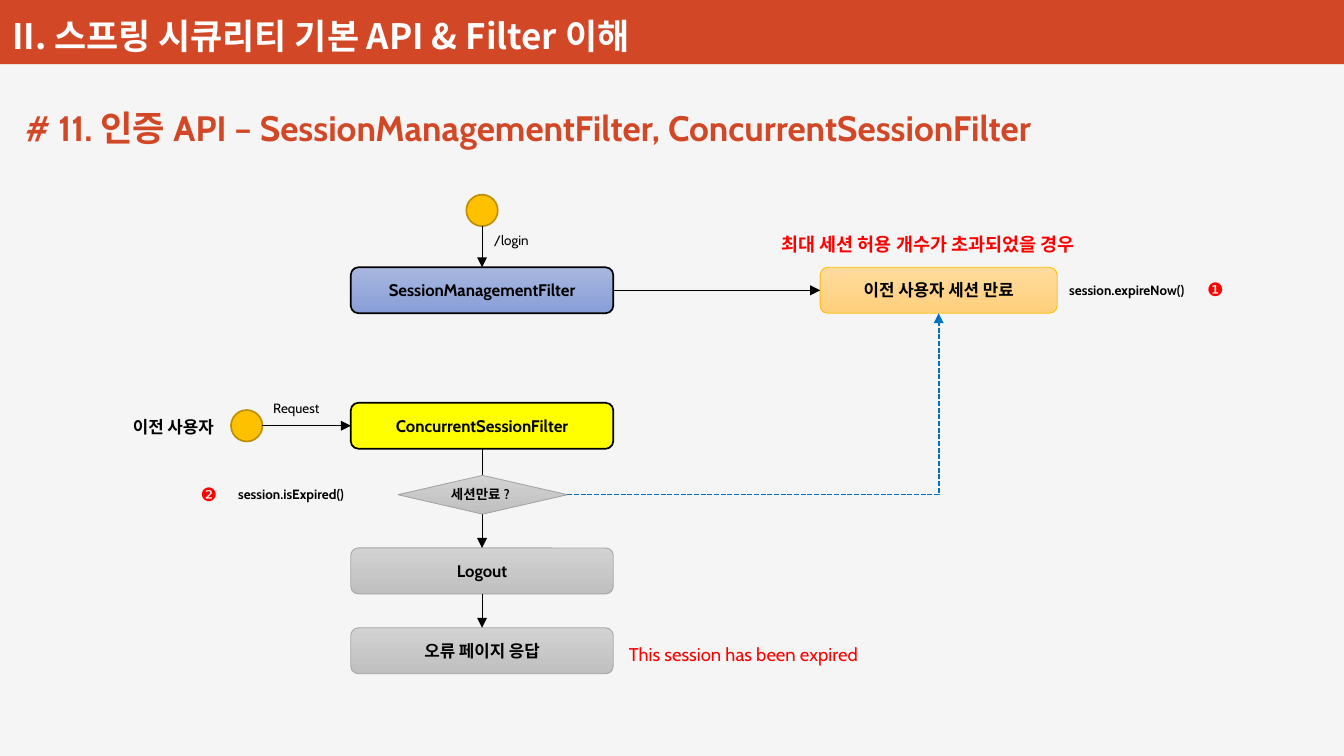
from dataclasses import dataclass

import pptx
import pptx.dml.color
import pptx.enum.dml
import pptx.enum.shapes
import pptx.enum.text
import pptx.oxml
import pptx.oxml.ns
import pptx.util
from pptx.util import Inches

SHAPES = pptx.enum.shapes.MSO_SHAPE
CONNECTORS = pptx.enum.shapes.MSO_CONNECTOR
ALIGN = pptx.enum.text.PP_ALIGN
ANCHOR = pptx.enum.text.MSO_ANCHOR
TOP, LEFT, BOTTOM, RIGHT = range(4)


@dataclass(frozen=True)
class Theme:
    latin: str = "Cabin"
    korean: str = "Noto Sans CJK KR"
    background: str = "F5F5F5"
    accent: str = "D24726"
    white: str = "FFFFFF"
    ink: str = "000000"
    alert: str = "FF0000"
    link: str = "0070C0"
    yellow: tuple = ("FFFF00",)
    blue: tuple = ("A8B7DF", "889ED7")
    orange: tuple = ("FFDB9E", "FFD07C")
    gray: tuple = ("D2D2D2", "C0C0C0")
    amber: tuple = ("FFC000",)
    orange_edge: str = "FFC000"
    gray_edge: str = "A5A5A5"
    amber_edge: str = "BD8E00"
    chapter_size: float = 20.8
    heading_size: float = 21
    note_size: float = 11
    step_size: float = 10
    label_size: float = 8


@dataclass(frozen=True)
class Box:
    x: float
    y: float
    w: float
    h: float

    def inside(self, dx, dy, w, h):
        return Box(self.x + dx, self.y + dy, w, h)

    def lengths(self):
        return [Inches(side) for side in (self.x, self.y, self.w, self.h)]


THEME = Theme()
STEP_W, STEP_H, DOT = 2.17, 0.38, 0.26


def rgb(color):
    return pptx.dml.color.RGBColor.from_string(color)


def write(frame, words, size, color, bold=False, latin=THEME.latin):
    run = frame.paragraphs[0].add_run()
    run.text = words
    run.font.size = pptx.util.Pt(size)
    run.font.bold = bold
    run.font.name = latin
    run.font.color.rgb = rgb(color)
    east_asian = pptx.oxml.parse_xml(
        f'<a:ea {pptx.oxml.ns.nsdecls("a")} typeface="{THEME.korean}"/>')
    run.font._element.find(pptx.oxml.ns.qn("a:latin")).addnext(east_asian)


def add_label(slide, box, words, size=THEME.label_size, color=THEME.ink, bold=False):
    frame = slide.shapes.add_textbox(*box.lengths()).text_frame
    frame.word_wrap = False
    frame.auto_size = pptx.enum.text.MSO_AUTO_SIZE.SHAPE_TO_FIT_TEXT
    write(frame, words, size, color, bold)


def add_node(slide, kind, box, colors, edge=None, edge_width=0.5):
    """One colour gives a plain fill, two give a top-to-bottom gradient."""
    node = slide.shapes.add_shape(kind, *box.lengths())
    node.shadow.inherit = False
    if len(colors) == 1:
        node.fill.solid()
        node.fill.fore_color.rgb = rgb(colors[0])
    else:
        node.fill.gradient()
        node.fill.gradient_angle = 270
        for stop, color in zip(node.fill.gradient_stops, colors):
            stop.color.rgb = rgb(color)
    if edge:
        node.line.color.rgb = rgb(edge)
        node.line.width = pptx.util.Pt(edge_width)
    else:
        node.line.fill.background()
    return node


def add_step(slide, box, words, colors, edge, edge_width=0.5):
    step = add_node(slide, SHAPES.ROUNDED_RECTANGLE, box, colors, edge, edge_width)
    step.text_frame.vertical_anchor = ANCHOR.MIDDLE
    step.text_frame.paragraphs[0].alignment = ALIGN.CENTER
    write(step.text_frame, words, THEME.step_size, THEME.ink, True)
    return step


def add_dot(slide, box):
    add_node(slide, SHAPES.OVAL, box, THEME.amber, THEME.amber_edge, 1)


def add_arrow(slide, target, side, source=None, source_side=BOTTOM, start=(0, 0),
              kind=CONNECTORS.STRAIGHT, color=THEME.ink, width=0.5):
    """Runs to a side of target, from a side of source or else from a start point."""
    x, y = (Inches(v) for v in start)
    arrow = slide.shapes.add_connector(kind, x, y, x, y)
    if source is not None:
        arrow.begin_connect(source, source_side)
    arrow.end_connect(target, side)
    arrow.line.color.rgb = rgb(color)
    arrow.line.width = pptx.util.Pt(width)
    line = arrow.line._get_or_add_ln()
    for piece in (line, arrow._element.spPr):
        tag = "tailEnd" if piece is line else "effectLst"
        piece.append(pptx.oxml.parse_xml(f'<a:{tag} {pptx.oxml.ns.nsdecls("a")}/>'))
    line.find(pptx.oxml.ns.qn("a:tailEnd")).set("type", "triangle")
    return arrow


def draw_chapter_bar(slide, box):
    add_node(slide, SHAPES.RECTANGLE, box, (THEME.accent,))
    frame = slide.shapes.add_textbox(*box.inside(0.01, -0.1, 6.17, 0.61).lengths()).text_frame
    frame.word_wrap = True
    frame.vertical_anchor = ANCHOR.BOTTOM
    frame.margin_left = frame.margin_right = Inches(0.09)
    frame.margin_top = frame.margin_bottom = Inches(0.04)
    write(frame, "II. 스프링 시큐리티 기본 API & Filter 이해",
          THEME.chapter_size, THEME.white, True, THEME.korean)


def draw_heading(slide, box):
    heading = slide.shapes.title
    heading.left, heading.top, heading.width, heading.height = box.lengths()
    frame = heading.text_frame
    frame.word_wrap = False
    frame.auto_size = pptx.enum.text.MSO_AUTO_SIZE.SHAPE_TO_FIT_TEXT
    frame.vertical_anchor = ANCHOR.TOP
    frame.paragraphs[0].alignment = ALIGN.LEFT
    write(frame, "# 11. 인증 API – SessionManagementFilter, ConcurrentSessionFilter",
          THEME.heading_size, THEME.accent, True)


def draw_login_flow(slide, box):
    """Returns the step that expires the earlier session."""
    middle, row = STEP_W / 2, box.h - STEP_H
    add_dot(slide, box.inside(middle - DOT / 2, 0, DOT, DOT))
    management = add_step(slide, box.inside(0, row, STEP_W, STEP_H),
                          "SessionManagementFilter", THEME.blue, THEME.ink, 1)
    expiry = add_step(slide, box.inside(3.88, row, 1.96, STEP_H),
                      "이전 사용자 세션 만료", THEME.orange, THEME.orange_edge)
    add_arrow(slide, management, TOP, start=(box.x + middle, box.y + DOT))
    add_arrow(slide, expiry, LEFT, management, RIGHT)
    add_label(slide, box.inside(middle, 0.26, 0.5, 0.24), "/login")
    add_label(slide, box.inside(3.46, 0.27, 2.95, 0.29),
              "최대 세션 허용 개수가 초과되었을 경우", THEME.note_size, THEME.alert, True)
    add_label(slide, box.inside(5.84, 0.67, 1.27, 0.24), "session.expireNow()", bold=True)
    add_label(slide, box.inside(6.98, 0.64, 0.41, 0.29), "❶", THEME.note_size, THEME.alert)
    return expiry


def draw_request_flow(slide, box):
    """Returns the decision on whether the session has expired."""
    column = 1.9
    styles = [("ConcurrentSessionFilter", 0.07, THEME.yellow, THEME.ink, 1),
              ("Logout", 1.27, THEME.gray, THEME.gray_edge, 0.5),
              ("오류 페이지 응답", 1.93, THEME.gray, THEME.gray_edge, 0.5)]
    concurrent, logout, error = [
        add_step(slide, box.inside(column, dy, STEP_W, STEP_H), words, colors, edge, width)
        for words, dy, colors, edge, width in styles]
    add_arrow(slide, logout, TOP, concurrent)
    add_arrow(slide, error, TOP, logout)
    decision = add_node(slide, SHAPES.FLOWCHART_DECISION, box.inside(2.29, 0.67, 1.4, 0.32),
                        THEME.gray, THEME.gray_edge)
    add_label(slide, box.inside(2.63, 0.71, 0.73, 0.24), "세션만료 ?", bold=True)

    add_dot(slide, box.inside(0.91, 0.13, DOT, DOT))
    add_arrow(slide, concurrent, LEFT, start=(box.x + 0.91 + DOT, box.y + 0.26))
    add_label(slide, box.inside(0, 0.14, 0.98, 0.27), "이전 사용자", THEME.step_size, bold=True)
    add_label(slide, box.inside(1.16, 0, 0.6, 0.24), "Request")
    add_label(slide, box.inside(0.56, 0.68, 0.41, 0.29), "❷", THEME.note_size, THEME.alert)
    add_label(slide, box.inside(0.87, 0.71, 1.17, 0.24), "session.isExpired()", bold=True)
    add_label(slide, box.inside(4.1, 2.01, 2.22, 0.29), "This session has been expired",
              THEME.note_size, THEME.alert)
    return decision


def link_decision_to_expiry(slide, decision, expiry):
    link = add_arrow(slide, expiry, BOTTOM, decision, RIGHT,
                     kind=CONNECTORS.ELBOW, color=THEME.link, width=1)
    link.line.dash_style = pptx.enum.dml.MSO_LINE.SQUARE_DOT
    link._element.spPr.find(pptx.oxml.ns.qn("a:prstGeom")).set("prst", "bentConnector2")


def main():
    deck = pptx.Presentation()
    deck.slide_width, deck.slide_height = Inches(11.11), Inches(6.25)
    slide = deck.slides.add_slide(deck.slide_layouts[5])
    slide.background.fill.solid()
    slide.background.fill.fore_color.rgb = rgb(THEME.background)
    draw_chapter_bar(slide, Box(0, 0, 11.11, 0.53))
    draw_heading(slide, Box(0.11, 0.83, 9.42, 0.45))
    expiry = draw_login_flow(slide, Box(2.9, 1.61, 7.39, 0.98))
    decision = draw_request_flow(slide, Box(1, 3.26, 6.32, 2.31))
    link_decision_to_expiry(slide, decision, expiry)
    deck.save("out.pptx")


if __name__ == "__main__":
    main()
